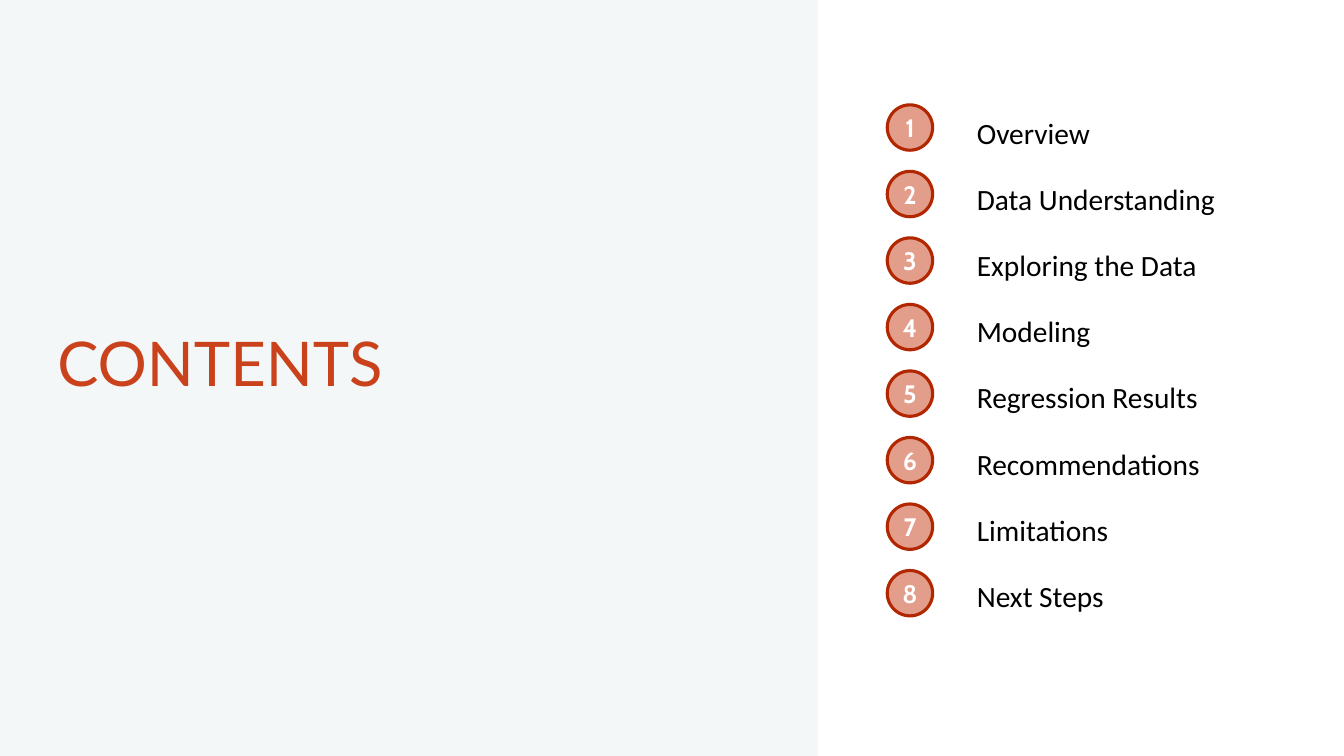
from pptx import Presentation
from pptx.dml.color import RGBColor
from pptx.enum.shapes import MSO_SHAPE as Shape
from pptx.enum.text import MSO_ANCHOR as Anchor, MSO_AUTO_SIZE as AutoSize, PP_ALIGN as Align
from pptx.oxml.ns import qn
from pptx.util import Inches, Pt
from lxml.etree import SubElement

COLORS = {
    "background": "F3F7F8",
    "panel": "FFFFFF",
    "accent": "CA421C",
    "ring": "B22600",
    "entry": "000000",
    "number": "FFFFFF",
}
ENTRIES = [
    "Overview",
    "Data Understanding",
    "Exploring the Data",
    "Modeling",
    "Regression Results",
    "Recommendations",
    "Limitations",
    "Next Steps",
]
WIDTH, HEIGHT = 13.33, 7.5
PANEL_LEFT = 8.11
BADGE_LEFT, BADGE_TOP, BADGE_SIZE, BADGE_PITCH = 8.8, 1.04, 0.45, 0.66
NUMBER_WIDTH, NUMBER_HEIGHT = 0.35, 0.4


def color(name):
    return RGBColor.from_string(COLORS[name])


def style_text(paragraph, font_name, size, color_name, bold=False):
    for run in paragraph.runs:
        run.font.name = font_name
        run.font.size = Pt(size)
        run.font.bold = bold
        run.font.color.rgb = color(color_name)


deck = Presentation()
deck.slide_width, deck.slide_height = Inches(WIDTH), Inches(HEIGHT)
slide = deck.slides.add_slide(deck.slide_layouts[6])
slide.background.fill.solid()
slide.background.fill.fore_color.rgb = color("background")

title = slide.shapes.add_textbox(Inches(0.47), Inches(2.91), Inches(7.19), Inches(1.45)).text_frame
title.word_wrap = True
title.vertical_anchor = Anchor.MIDDLE
title.text = "CONTENTS"
title.paragraphs[0].line_spacing = 0.9
style_text(title.paragraphs[0], "Lato", 44, "accent")

panel = slide.shapes.add_shape(
    Shape.RECTANGLE, Inches(PANEL_LEFT), 0, Inches(WIDTH - PANEL_LEFT), Inches(HEIGHT)
)
panel.shadow.inherit = False
panel.fill.solid()
panel.fill.fore_color.rgb = color("panel")
panel.line.fill.background()

agenda = slide.shapes.add_textbox(Inches(9.59), Inches(0.92), Inches(2.83), Inches(5.44)).text_frame
agenda.word_wrap = True
agenda.text = "\n".join(ENTRIES)
for entry in agenda.paragraphs:
    entry.line_spacing = 1.5
    entry.space_before = Pt(9.4)
    style_text(entry, "Calibri", 21, "entry")

for index in range(len(ENTRIES)):
    top = BADGE_TOP + index * BADGE_PITCH
    badge = slide.shapes.add_group_shape()
    circle = badge.shapes.add_shape(
        Shape.OVAL, Inches(BADGE_LEFT), Inches(top), Inches(BADGE_SIZE), Inches(BADGE_SIZE)
    )
    circle.shadow.inherit = False
    circle.fill.solid()
    circle.fill.fore_color.rgb = color("accent")
    tint = circle._element.spPr.find(qn("a:solidFill")).find(qn("a:srgbClr"))
    SubElement(tint, qn("a:alpha"), val="51000")
    circle.line.color.rgb = color("ring")
    circle.line.width = Pt(2.25)

    number = badge.shapes.add_textbox(
        Inches(BADGE_LEFT + (BADGE_SIZE - NUMBER_WIDTH) / 2),
        Inches(top + (BADGE_SIZE - NUMBER_HEIGHT) / 2),
        Inches(NUMBER_WIDTH),
        Inches(NUMBER_HEIGHT),
    ).text_frame
    number.word_wrap = False
    number.auto_size = AutoSize.SHAPE_TO_FIT_TEXT
    number.text = str(index + 1)
    number.paragraphs[0].alignment = Align.CENTER
    style_text(number.paragraphs[0], "Cabin", 18, "number", bold=True)

deck.save("out.pptx")
